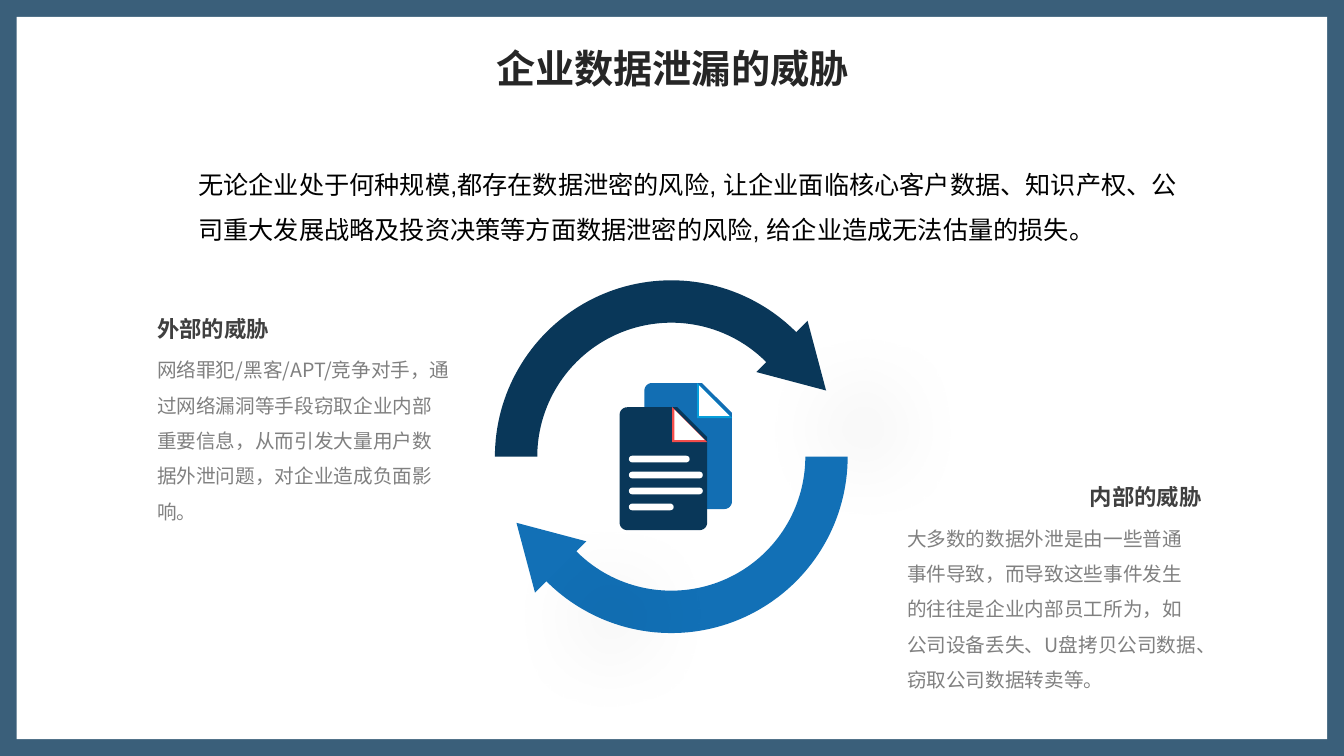
from dataclasses import dataclass
from math import cos, radians, sin

from lxml.etree import SubElement
from pptx import Presentation
from pptx.dml.color import RGBColor
from pptx.enum.shapes import MSO_SHAPE as Shape
from pptx.enum.text import MSO_ANCHOR as Anchor, PP_ALIGN as Align
from pptx.oxml.ns import qn
from pptx.util import Pt


@dataclass(frozen=True)
class Theme:
    """Colours, fonts and type sizes of the slide."""
    navy: str = "093759"
    blue: str = "1270B6"
    page_blue: str = "126EB3"
    sky: str = "079FDB"
    red: str = "F34D4B"
    white: str = "FFFFFF"
    black: str = "000000"
    title_ink: str = "262626"
    heading_ink: str = "404040"
    body_ink: str = "808080"
    latin: str = "Arial"
    chinese: str = "Noto Sans CJK SC"
    title_size: int = 28
    intro_size: int = 18
    heading_size: int = 16
    body_size: int = 14


THEME = Theme()


def paint(shape, colour):
    """Give a shape a plain fill without line or shadow."""
    shape.shadow.inherit = False
    shape.fill.solid()
    shape.fill.fore_color.rgb = RGBColor.from_string(colour)
    shape.line.fill.background()
    return shape


def add_block(slide, kind, box, colour, rotation=0):
    """Add a painted preset shape in a box of points."""
    shape = slide.shapes.add_shape(kind, *map(Pt, box))
    shape.rotation = rotation
    return paint(shape, colour)


def add_text(slide, box, text, size, colour, font=THEME.latin, bold=False,
             align=Align.LEFT, spacing=1.0, wrap=True):
    """Add a one-paragraph text box."""
    frame = slide.shapes.add_textbox(*map(Pt, box)).text_frame
    paragraph = frame.paragraphs[0]
    run = paragraph.add_run()
    formats = (
        (frame, {"word_wrap": wrap, "vertical_anchor": Anchor.TOP}),
        (paragraph, {"alignment": align, "line_spacing": spacing}),
        (run, {"text": text}),
        (run.font, {"name": font, "size": Pt(size), "bold": bold}),
        (run.font.color, {"rgb": RGBColor.from_string(colour)}),
    )
    for target, values in formats:
        for name, value in values.items():
            setattr(target, name, value)
    properties = run.font._element
    properties.set("lang", "zh-CN")
    SubElement(properties, qn("a:ea"), typeface=THEME.chinese)


def add_soft_shadow(shape):
    """Cast a wide, faint shadow down to the right."""
    effects = shape._element.spPr.find(qn("a:effectLst"))
    shadow = SubElement(effects, qn("a:outerShdw"), blurRad=str(Pt(61)),
                        dist=str(Pt(67)), dir="2700000", algn="ctr", rotWithShape="0")
    colour = SubElement(shadow, qn("a:srgbClr"), val=THEME.black)
    SubElement(colour, qn("a:alpha"), val="11000")


def add_frame(slide, box, border=12):
    """Draw the translucent navy border around the white slide area."""
    left, top, width, height = box
    edge = add_block(slide, Shape.RECTANGLE, box, THEME.navy)
    colour = edge._element.spPr.find(qn("a:solidFill")).find(qn("a:srgbClr"))
    SubElement(colour, qn("a:alpha"), val="80000")
    inner = (left + border, top + border, width - 2 * border, height - 2 * border)
    add_block(slide, Shape.RECTANGLE, inner, THEME.white)


def add_cycle(slide, box):
    """Draw two arc arrows that chase each other round a circle."""
    left, top, width, height = box
    head_width, head_height = 51.8, 44.6
    for colour, turn, side in ((THEME.navy, 180, 1), (THEME.blue, 0, -1)):
        arc = add_block(slide, Shape.BLOCK_ARC, box, colour, turn)
        for index, value in enumerate((0, 81.81, 0.12)):
            arc.adjustments[index] = value
        head_left = left + width / 2 + side * 94.8 - head_width / 2
        head_top = top + height / 2 - side * 63 - head_height / 2
        head = add_block(slide, Shape.ISOSCELES_TRIANGLE,
                         (head_left, head_top, head_width, head_height),
                         colour, 315 - turn)
        add_soft_shadow(head)


def add_page(slide, box, colour, fold_colour, cut=21.4, radius=5.4):
    """Draw a rounded sheet with a folded top right corner."""
    left, top, width, height = box
    right, bottom = left + width, top + height
    points = [(right - cut, top), (right, top + cut)]
    corners = ((right - radius, bottom - radius, 0),
               (left + radius, bottom - radius, 90),
               (left + radius, top + radius, 180))
    for centre_x, centre_y, start in corners:
        for step in range(0, 91, 15):
            angle = radians(start + step)
            points.append((centre_x + radius * cos(angle), centre_y + radius * sin(angle)))
    outline = [(Pt(x), Pt(y)) for x, y in points]
    builder = slide.shapes.build_freeform(*outline[0])
    builder.add_line_segments(outline[1:], close=True)
    paint(builder.convert_to_shape(), colour)
    fold = 25
    add_block(slide, Shape.RIGHT_TRIANGLE, (right - fold, top, fold, fold), fold_colour)
    add_block(slide, Shape.RIGHT_TRIANGLE,
              (right - fold + 1.6, top + 1.8, 21.6, 21.6), THEME.white)


def add_documents(slide, box):
    """Draw the pair of overlapping documents with text lines."""
    left, top, width, height = box
    page_width, front_height = 62.6, 87.8
    front_top = top + height - front_height
    add_page(slide, (left + width - page_width, top, page_width, 90),
             THEME.page_blue, THEME.sky)
    add_page(slide, (left, front_top, page_width, front_height), THEME.navy, THEME.red)
    for row, length in enumerate((43.4, 52.8, 52.8, 32)):
        line = add_block(slide, Shape.ROUNDED_RECTANGLE,
                         (left + 6.6, front_top + 34.6 + row * 11.4, length, 4.8),
                         THEME.white)
        line.adjustments[0] = 0.5


def add_threat(slide, box, heading, body, align):
    """Write a threat heading above its description."""
    left, top, width, height = box
    heading_width = 176.4
    shift = width - heading_width if align == Align.RIGHT else 0
    add_text(slide, (left, top + 26.6, width, height - 26.6), body,
             THEME.body_size, THEME.body_ink, THEME.chinese, spacing=1.5)
    add_text(slide, (left + shift, top, heading_width, 29), heading, THEME.heading_size,
             THEME.heading_ink, bold=True, align=align, spacing=1.2)


def build_slide(slide):
    """Place every region on the slide."""
    add_frame(slide, (0, 0, 960, 540))
    add_cycle(slide, (353.5, 200.2, 252, 252))
    add_threat(slide, (105.1, 217.4, 224.6, 135.4), "外部的威胁",
               "网络罪犯/黑客/APT/竞争对手，通过网络漏洞等手段窃取企业内部重要信息，"
               "从而引发大量用户数据外泄问题，对企业造成负面影响。", Align.LEFT)
    add_threat(slide, (640.8, 337.7, 224.6, 161.2), "内部的威胁",
               "大多数的数据外泄是由一些普通事件导致，而导致这些事件发生的往往是企业内部员工所为，"
               "如公司设备丢失、U盘拷贝公司数据、窃取公司数据转卖等。", Align.RIGHT)
    add_text(slide, (345.6, 28.1, 269.3, 41), "企业数据泄漏的威胁", THEME.title_size,
             THEME.title_ink, bold=True, align=Align.CENTER, wrap=False)
    add_documents(slide, (442.6, 273.6, 80.3, 105.1))
    add_text(slide, (134.6, 106.6, 715.7, 72.7),
             "无论企业处于何种规模,都存在数据泄密的风险, 让企业面临核心客户数据、知识产权、"
             "公司重大发展战略及投资决策等方面数据泄密的风险, 给企业造成无法估量的损失。",
             THEME.intro_size, THEME.black, spacing=1.5)


def main():
    """Create the presentation and save it."""
    presentation = Presentation()
    presentation.slide_width, presentation.slide_height = Pt(960), Pt(540)
    build_slide(presentation.slides.add_slide(presentation.slide_layouts[6]))
    presentation.save("out.pptx")


if __name__ == "__main__":
    main()
